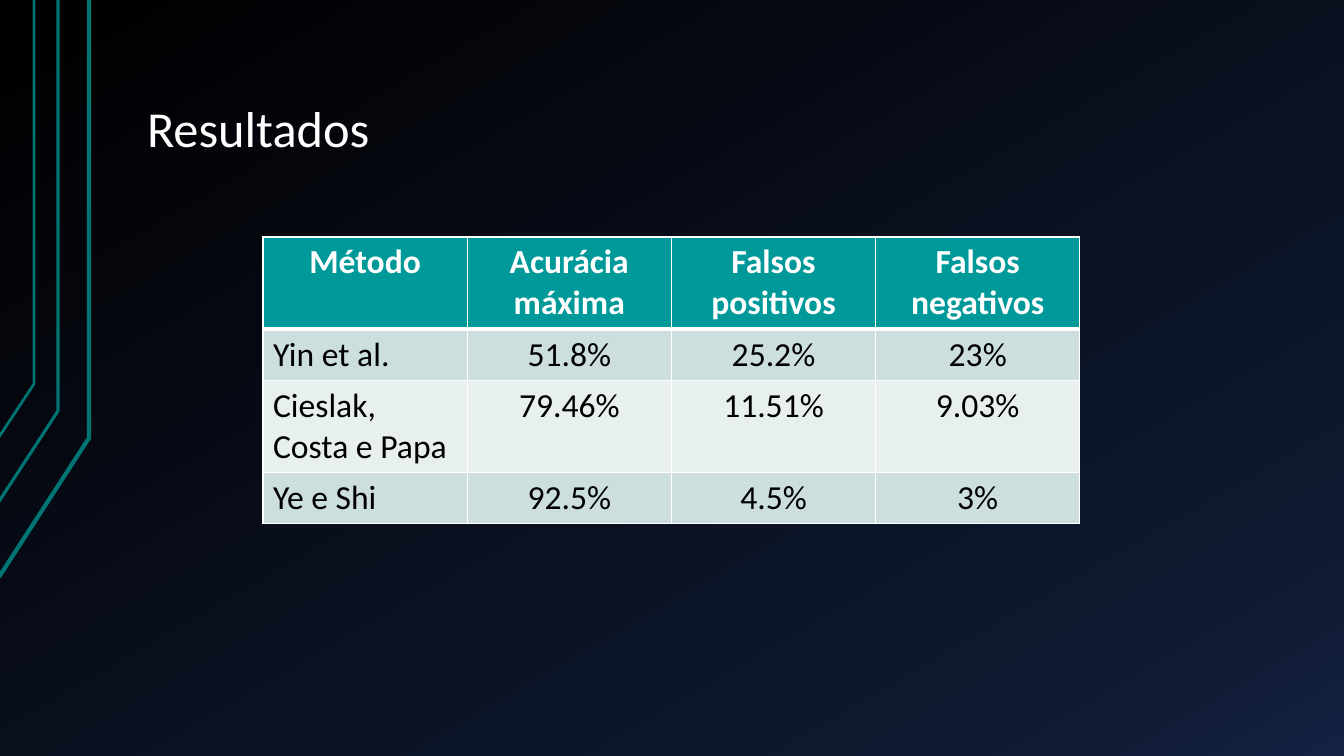
import copy

import pptx
import pptx.dml.color
import pptx.enum.text
import pptx.oxml
import pptx.oxml.ns
import pptx.util

RGBColor = pptx.dml.color.RGBColor
WHITE = RGBColor(0xFF, 0xFF, 0xFF)
BLACK = RGBColor(0x00, 0x00, 0x00)
NAVY = RGBColor(0x0F, 0x19, 0x31)
BLUE = RGBColor(0x14, 0x22, 0x42)
DARK_TEAL = RGBColor(0x00, 0x73, 0x73)
TEAL = RGBColor(0x00, 0x99, 0x99)
BAND_DARK = RGBColor(0xCC, 0xDE, 0xDE)
BAND_LIGHT = RGBColor(0xE7, 0xEF, 0xEF)

PIXEL = 914400 / 100.8
WIDTH, HEIGHT = 1344, 756
TITLE_ONLY = 5

RESULTS = [
    ["Método", "Acurácia máxima", "Falsos positivos", "Falsos negativos"],
    ["Yin et al.", "51.8%", "25.2%", "23%"],
    ["Cieslak, Costa e Papa", "79.46%", "11.51%", "9.03%"],
    ["Ye e Shi", "92.5%", "4.5%", "3%"],
]
ROW_HEIGHTS = [92, 51, 92, 51]


def px(length):
    return pptx.util.Emu(round(length * PIXEL))


class SlideBuilder:
    font = "Calibri"

    def __init__(self, presentation):
        layout = presentation.slide_layouts[TITLE_ONLY]
        self.slide = presentation.slides.add_slide(layout)

    def background(self, stops, angle):
        fill = self.slide.background.fill
        fill.gradient()
        fill.gradient_angle = angle
        stop_list = self.slide.element.find(".//" + pptx.oxml.ns.qn("a:gsLst"))
        while len(stop_list) < len(stops):
            stop_list.append(copy.deepcopy(stop_list[-1]))
        for stop, (position, color) in zip(fill.gradient_stops, stops):
            stop.position = position
            stop.color.rgb = color

    def outline(self, points, color, weight):
        start, *others = points
        builder = self.slide.shapes.build_freeform(*start, scale=PIXEL)
        builder.add_line_segments(others, close=False)
        shape = builder.convert_to_shape()
        shape.shadow.inherit = False
        shape.fill.background()
        shape.line.color.rgb = color
        shape.line.width = pptx.util.Pt(weight)

    def style(self, paragraph, size, color, bold=False):
        for run in paragraph.runs:
            run.font.name = self.font
            run.font.size = pptx.util.Pt(size)
            run.font.bold = bold
            run.font.color.rgb = color

    def title(self, text, left, top, width, height):
        shape = self.slide.shapes.title
        shape.left, shape.top = px(left), px(top)
        shape.width, shape.height = px(width), px(height)
        frame = shape.text_frame
        frame.text = text
        frame.word_wrap = True
        frame.auto_size = pptx.enum.text.MSO_AUTO_SIZE.NONE
        frame.vertical_anchor = pptx.enum.text.MSO_ANCHOR.BOTTOM
        frame.margin_left = frame.margin_right = px(13)
        frame.margin_top = frame.margin_bottom = px(7)
        paragraph = frame.paragraphs[0]
        paragraph.alignment = pptx.enum.text.PP_ALIGN.LEFT
        paragraph.line_spacing = 0.9
        self.style(paragraph, 36, WHITE)

    def borders(self, cell, top, bottom):
        properties = cell._tc.get_or_add_tcPr()
        for side, weight in (("L", 1), ("R", 1), ("T", top), ("B", bottom)):
            properties.append(pptx.oxml.parse_xml(
                f'<a:ln{side} {pptx.oxml.ns.nsdecls("a")} w="{pptx.util.Pt(weight)}">'
                f'<a:solidFill><a:srgbClr val="{WHITE}"/></a:solidFill></a:ln{side}>'))

    def table(self, rows, heights, left, top, width):
        table = self.slide.shapes.add_table(
            len(rows), len(rows[0]), px(left), px(top), px(width), px(sum(heights))).table
        for row_index, values in enumerate(rows):
            table.rows[row_index].height = px(heights[row_index])
            header = row_index == 0
            band = BAND_DARK if row_index % 2 else BAND_LIGHT
            for column_index, value in enumerate(values):
                cell = table.cell(row_index, column_index)
                # The header is separated from the body by a thicker rule
                self.borders(cell, 3 if row_index == 1 else 1, 3 if header else 1)
                cell.fill.solid()
                cell.fill.fore_color.rgb = TEAL if header else band
                cell.text_frame.text = value
                paragraph = cell.text_frame.paragraphs[0]
                if header or column_index:
                    paragraph.alignment = pptx.enum.text.PP_ALIGN.CENTER
                self.style(paragraph, 24, WHITE if header else BLACK, header)


def main():
    presentation = pptx.Presentation()
    presentation.slide_width, presentation.slide_height = px(WIDTH), px(HEIGHT)
    builder = SlideBuilder(presentation)

    # Background
    builder.background([(0, BLACK), (0.85, NAVY), (1, BLUE)], 300)

    # Bent lines at the left edge: bend, lower end, weight
    for bend, end, weight in [
        ((89, 438), (-1, 577), 3),
        ((58, 411), (-2, 503), 2.25),
        ((34, 384), (-1, 437), 2),
    ]:
        builder.outline([end, bend, (bend[0], 0)], DARK_TEAL, weight)

    # Title and results
    builder.title("Resultados", 134, 30, 1142, 135)
    builder.table(RESULTS, ROW_HEIGHTS, 263, 237, 817)

    presentation.save("out.pptx")


if __name__ == "__main__":
    main()
